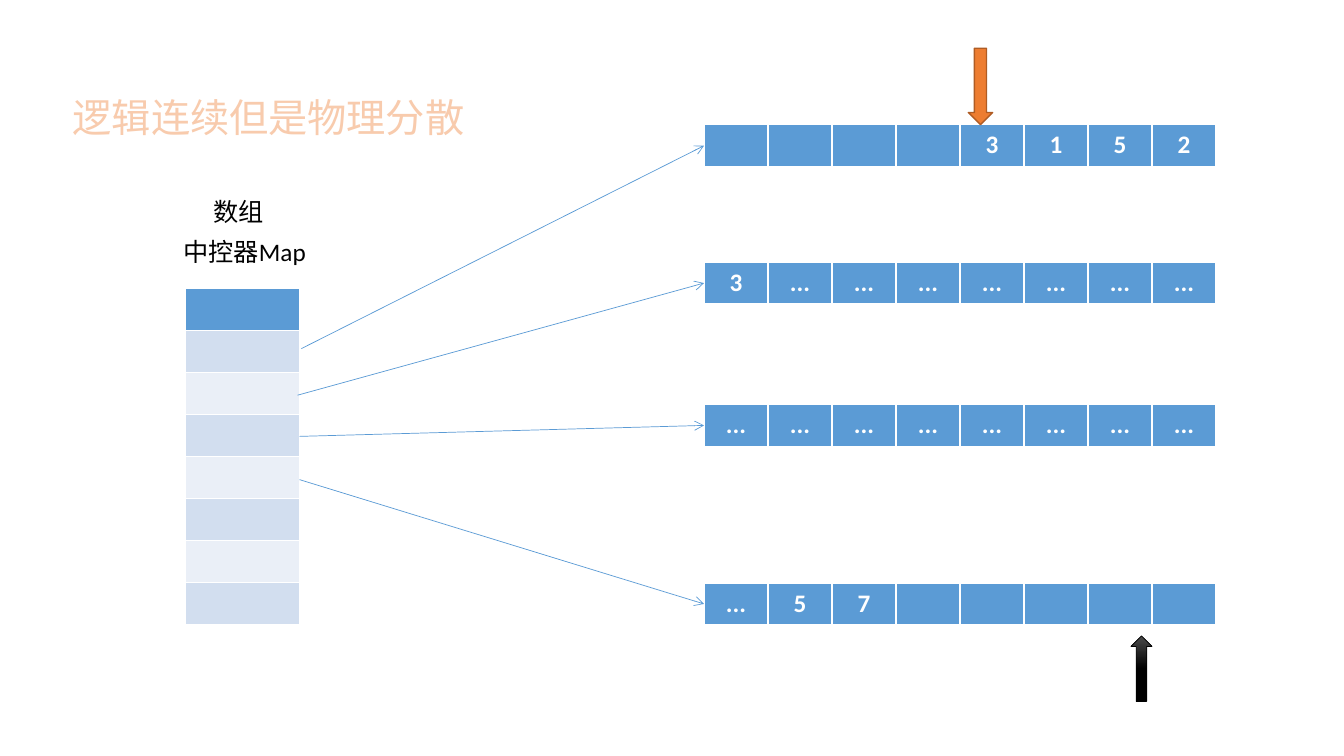
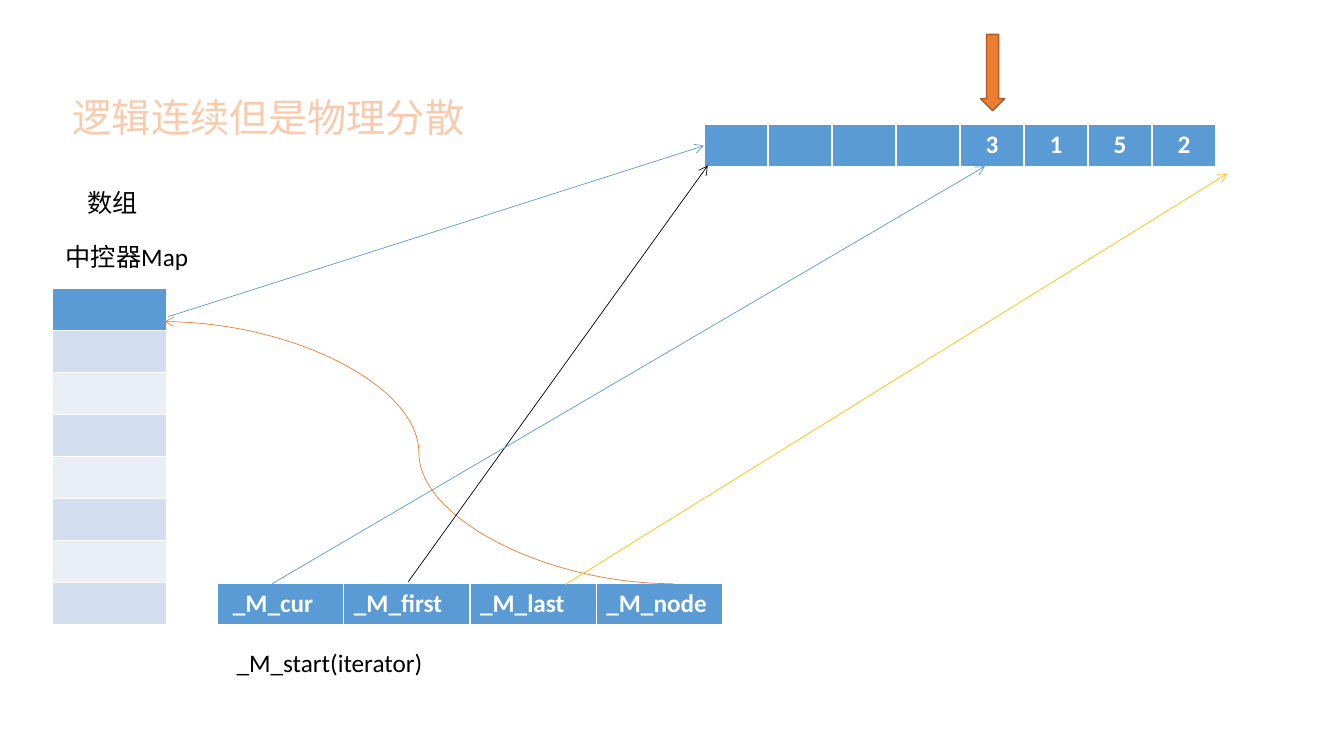
"""Build two slides on how a deque maps one logical sequence onto scattered buffers."""
import lxml.etree
import pptx
import pptx.dml.color
import pptx.enum.dml
import pptx.enum.shapes
import pptx.enum.text
import pptx.oxml
import pptx.oxml.ns
import pptx.util

COLOURS = {
    "blue": "5B9BD5",
    "band_dark": "D2DEEF",
    "band_light": "EAEFF7",
    "title": "F8CBAD",
    "orange": "ED7D31",
    "orange_edge": "AF5C24",
    "yellow": "FFC000",
    "grey": "4B4B4B",
    "black": "000000",
    "white": "FFFFFF",
}
FONT = "Calibri"
WIDTH, HEIGHT = pptx.util.Inches(13.33), pptx.util.Inches(7.5)
COLUMNS, ROWS = 21, 18
BUFFER_LEFT, BUFFER_CELLS = 11, 8
MAP_TOP, MAP_WIDTH, MAP_CELLS = 6.87, 1.78, 8
FIRST_BUFFER, LAST_BUFFER = 2.97, 13.88
FIRST_VALUES = ["", "", "", "", "3", "1", "5", "2"]
SHAPES = pptx.enum.shapes.MSO_SHAPE
CONNECTORS = pptx.enum.shapes.MSO_CONNECTOR
ALIGN = pptx.enum.text.PP_ALIGN


def rgb(name):
    """Return a palette colour."""
    return pptx.dml.color.RGBColor.from_string(COLOURS[name])


def across(columns):
    """Turn grid columns into a length."""
    return int(WIDTH * columns / COLUMNS)


def down(rows):
    """Turn grid rows into a length."""
    return int(HEIGHT * rows / ROWS)


def grid_box(left, top, width, height):
    """Turn a grid rectangle into lengths."""
    return across(left), down(top), across(width), down(height)


def write(frame, text, size, colour, bold=False, align=ALIGN.LEFT):
    """Write one formatted paragraph into a text frame."""
    paragraph = frame.paragraphs[0]
    paragraph.text = text
    paragraph.alignment = align
    paragraph.font.name = FONT
    paragraph.font.size = pptx.util.Pt(size)
    paragraph.font.bold = bold
    paragraph.font.color.rgb = rgb(colour)


def add_title(slide, text):
    """Place and format the slide title."""
    title = slide.shapes.title
    title.left, title.top, title.width, title.height = grid_box(0.98, 2.11, 7.12, 1.37)
    frame = title.text_frame
    frame.word_wrap = True
    frame.auto_size = pptx.enum.text.MSO_AUTO_SIZE.NONE
    frame.vertical_anchor = pptx.enum.text.MSO_ANCHOR.TOP
    write(frame, text, 28, "title")


def add_label(slide, text, left, top, width=3.3):
    """Add a line of plain text."""
    label = slide.shapes.add_textbox(*grid_box(left, top, width, 0.96))
    label.text_frame.word_wrap = True
    write(label.text_frame, text, 18, "black")


def fill_cell(cell, colour):
    """Fill a table cell with one colour."""
    cell.fill.solid()
    cell.fill.fore_color.rgb = rgb(colour)


def add_row(slide, values, left, top, width=BUFFER_CELLS, align=ALIGN.CENTER):
    """Add a one-row table of equal cells and return its cells."""
    table = slide.shapes.add_table(1, len(values), *grid_box(left, top, width, 1)).table
    cells = list(table.rows[0].cells)
    for cell, value in zip(cells, values):
        fill_cell(cell, "blue")
        if value:
            write(cell.text_frame, value, 18, "white", True, align)
    return cells


def add_map(slide, left):
    """Add the banded map column."""
    place = grid_box(left, MAP_TOP, MAP_WIDTH, MAP_CELLS)
    table = slide.shapes.add_table(MAP_CELLS, 1, *place).table
    for index in range(MAP_CELLS):
        band = "band_dark" if index % 2 else "band_light"
        fill_cell(table.cell(index, 0), band if index else "blue")


def add_link(slide, start, end, colour="blue", kind=CONNECTORS.STRAIGHT):
    """Add a thin arrow between two grid points."""
    link = slide.shapes.add_connector(
        kind, across(start[0]), down(start[1]), across(end[0]), down(end[1]))
    link.line.width = pptx.util.Pt(0.5)
    link.line.color.rgb = rgb(colour)
    properties = link.line._get_or_add_ln()
    lxml.etree.SubElement(properties, pptx.oxml.ns.qn("a:tailEnd"), type="arrow")
    lxml.etree.SubElement(link._element.spPr, pptx.oxml.ns.qn("a:effectLst"))


def add_pointer(slide, shape, place, edge, edge_width):
    """Add an outlined block arrow and return it."""
    pointer = slide.shapes.add_shape(shape, *grid_box(*place))
    pointer.shadow.inherit = False
    pointer.line.color.rgb = rgb(edge)
    pointer.line.width = pptx.util.Pt(edge_width)
    return pointer


def add_start_pointer(slide, left, top):
    """Mark the first element with an orange arrow."""
    place = (left, top, 0.38, 1.82)
    pointer = add_pointer(slide, SHAPES.DOWN_ARROW, place, "orange_edge", 1)
    pointer.fill.solid()
    pointer.fill.fore_color.rgb = rgb("orange")


def add_finish_pointer(slide, left, top):
    """Mark the end position with a shaded black arrow."""
    place = (left, top, 0.33, 1.56)
    pointer = add_pointer(slide, SHAPES.UP_ARROW, place, "black", 0.5)
    pointer.fill.gradient()
    pointer.fill.gradient_angle = 270
    shades = (("grey", 0), ("black", 0.5))
    for stop, (colour, position) in zip(pointer.fill.gradient_stops, shades):
        stop.color.rgb = rgb(colour)
        stop.position = position


def add_base(deck, map_left, array_label, map_label):
    """Add a slide with the title, the map and the first buffer."""
    slide = deck.slides.add_slide(deck.slide_layouts[5])
    add_title(slide, "逻辑连续但是物理分散")
    add_label(slide, "数组", *array_label)
    add_label(slide, "中控器Map", *map_label)
    add_map(slide, map_left)
    add_row(slide, FIRST_VALUES, BUFFER_LEFT, FIRST_BUFFER)
    return slide


def build_buffers(deck):
    """Show the map pointing at its buffers."""
    slide = add_base(deck, 2.9, (3.18, 4.56), (2.71, 5.52))
    add_start_pointer(slide, 15.13, 1.15)
    add_finish_pointer(slide, 17.67, 15.14)
    later_buffers = (
        (6.24, ["3"] + ["..."] * 7),
        (9.63, ["..."] * 8),
        (LAST_BUFFER, ["...", "5", "7"] + [""] * 5),
    )
    for top, values in later_buffers:
        add_row(slide, values, BUFFER_LEFT, top)
    buffer_tops = [FIRST_BUFFER] + [top for top, _ in later_buffers]
    map_exits = ((4.71, 8.3), (4.65, 9.41), (4.68, 10.39), (4.68, 11.42))
    for map_exit, top in zip(map_exits, buffer_tops):
        add_link(slide, map_exit, (BUFFER_LEFT, top + 0.5))


def build_iterator(deck):
    """Show what the members of the start iterator point at."""
    slide = add_base(deck, 0.82, (1.21, 4.34), (0.87, 5.62))
    add_start_pointer(slide, 15.32, 0.82)
    members = ["_M_cur", "_M_first", "_M_last", "_M_node"]
    cells = add_row(slide, members, 3.4, LAST_BUFFER, 7.89, ALIGN.LEFT)
    cells[0].margin_left = across(0.24)
    add_label(slide, "_M_start(iterator)", 3.54, 15.29)
    add_link(slide, (2.63, 7.54), (BUFFER_LEFT, FIRST_BUFFER + 0.5))
    add_link(slide, (10.52, 13.9), (2.57, 7.66), "orange", CONNECTORS.CURVE)
    add_link(slide, (6.38, 13.85), (11.06, 3.94), "black")
    add_link(slide, (8.83, 13.92), (19.18, 4.13), "yellow")
    add_link(slide, (4.25, 13.9), (15.39, 3.96))


def main():
    """Build and save the deck."""
    deck = pptx.Presentation()
    deck.slide_width, deck.slide_height = WIDTH, HEIGHT
    build_buffers(deck)
    build_iterator(deck)
    deck.save("out.pptx")


if __name__ == "__main__":
    main()
